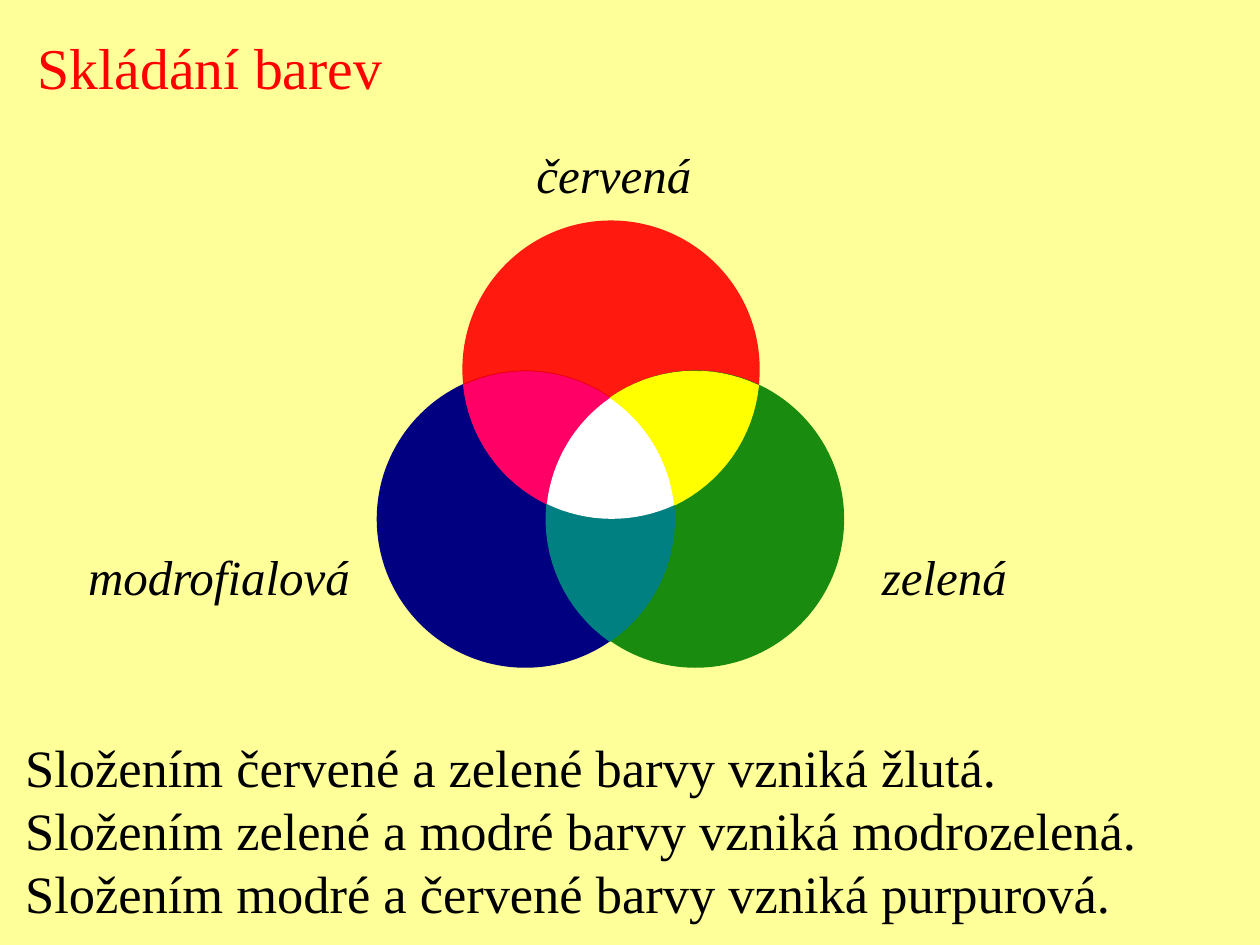
import math
from dataclasses import dataclass
from lxml import etree
from pptx import Presentation
from pptx import util as u
from pptx.dml.color import RGBColor
from pptx.enum import shapes, text
from pptx.oxml import ns

PX = 9144  # EMU in one px, 100 px to the inch
FONT = "Times New Roman"
HUES = {
    "page": "FFFF99", "title": "FF0000", "ink": "000000",
    "blue": "000080", "red": "FF0000", "green": "008000",
    "yellow": "FFFF00", "pink": "FF0066", "teal": "008080",
    "white": "FFFFFF",
}
SIZE = 236  # diameter of each light


@dataclass
class Light:
    hue: str
    left: int
    top: int
    alpha: int = 100

    @property
    def mid(self) -> tuple[float, float]:
        return self.left + SIZE / 2, self.top + SIZE / 2


@dataclass
class Patch:
    """Corners of an overlap; each side is an arc of the named light."""
    hue: str
    sides: list[tuple[str, str]]
    edge: bool = True


@dataclass
class Label:
    words: str
    left: int
    top: int
    width: int


LIGHTS = [
    Light("blue", 299, 294),
    Light("red", 367, 175, 90),
    Light("green", 434, 294, 90),
]
SPOTS = {
    "top": (484, 316), "left": (434, 400), "right": (535, 401),
    "east": (602, 306), "west": (368, 306), "south": (484, 509),
}
PATCHES = [
    Patch("yellow", [("top", "green"), ("east", "red"), ("right", "blue")]),
    Patch("pink", [("top", "blue"), ("west", "red"), ("left", "green")]),
    Patch("teal", [("right", "blue"), ("south", "green"), ("left", "red")]),
    Patch("white", [("top", "blue"), ("right", "red"), ("left", "green")], False),
]
LABELS = [
    Label("červená", 416, 110, 143),
    Label("modrofialová", 60, 429, 229),
    Label("zelená", 690, 429, 119),
]
RULES = [
    "Složením červené a zelené barvy vzniká žlutá.",
    "Složením zelené a modré barvy vzniká modrozelená.",
    "Složením modré a červené barvy vzniká purpurová.",
]


def tint(name: str) -> RGBColor:
    return RGBColor.from_string(HUES[name])


def place(shape, left: int, top: int, width: int, height: int) -> None:
    shape.left, shape.top = left * PX, top * PX
    shape.width, shape.height = width * PX, height * PX


def write(shape, lines: list[str], size: int, hue: str = "ink",
          slant: bool = False) -> None:
    frame = shape.text_frame
    frame.text = "\n".join(lines)
    frame.word_wrap = False
    frame.auto_size = text.MSO_AUTO_SIZE.NONE
    frame.vertical_anchor = text.MSO_ANCHOR.TOP
    frame.margin_left = frame.margin_right = 10 * PX
    frame.margin_top = frame.margin_bottom = 5 * PX
    for para in frame.paragraphs:
        para.alignment = text.PP_ALIGN.LEFT
        para.space_before = u.Pt(0)
        props = para._p.get_or_add_pPr()
        props.set("marL", "0")
        props.set("indent", "0")
        etree.SubElement(props, ns.qn("a:buNone"))
        font = para.font
        font.name, font.size, font.italic = FONT, u.Pt(size), slant
        font.color.rgb = tint(hue)


def paint(shape, hue: str, alpha: int = 100, edge: bool = False) -> None:
    shape.shadow.inherit = False
    shape.fill.solid()
    shape.fill.fore_color.rgb = tint(hue)
    if alpha < 100:
        tone = shape.fill._xPr.find(".//" + ns.qn("a:srgbClr"))
        etree.SubElement(tone, ns.qn("a:alpha"), val=str(alpha * 1000))
    if edge:
        shape.line.color.rgb = tint(hue)
        shape.line.width = u.Pt(0.5)
    else:
        shape.line.fill.background()


def arc(start: tuple, end: tuple, mid: tuple, steps: int = 16) -> list[tuple]:
    """Points in EMU after start, along the short arc to end."""
    turn = [math.atan2(y - mid[1], x - mid[0]) for x, y in (start, end)]
    reach = [math.dist(spot, mid) for spot in (start, end)]
    sweep = math.remainder(turn[1] - turn[0], math.tau)
    points = []
    for step in range(1, steps + 1):
        part = step / steps
        angle = turn[0] + sweep * part
        far = reach[0] + (reach[1] - reach[0]) * part
        points.append(((mid[0] + far * math.cos(angle)) * PX,
                       (mid[1] + far * math.sin(angle)) * PX))
    return points


def draw_light(slide, light: Light) -> None:
    disc = slide.shapes.add_shape(
        shapes.MSO_SHAPE.OVAL, light.left * PX, light.top * PX,
        SIZE * PX, SIZE * PX)
    paint(disc, light.hue, light.alpha)


def draw_patch(slide, patch: Patch) -> None:
    mids = {light.hue: light.mid for light in LIGHTS}
    ends = patch.sides[1:] + patch.sides[:1]
    points = []
    for (spot, hue), (end, _) in zip(patch.sides, ends):
        points += arc(SPOTS[spot], SPOTS[end], mids[hue])
    pen = slide.shapes.build_freeform(*points[-1], scale=1.0)
    pen.add_line_segments(points[:-1], close=True)
    paint(pen.convert_to_shape(), patch.hue, edge=patch.edge)


def draw_label(slide, label: Label) -> None:
    box = slide.shapes.add_textbox(0, 0, 0, 0)
    place(box, label.left, label.top, label.width, 57)
    write(box, [label.words], 28, slant=True)


def main() -> None:
    deck = Presentation()
    deck.slide_width, deck.slide_height = 1000 * PX, 750 * PX
    slide = deck.slides.add_slide(deck.slide_layouts[1])
    slide.background.fill.solid()
    slide.background.fill.fore_color.rgb = tint("page")

    # Title and rules
    title, body = slide.placeholders
    place(title, 20, 20, 300, 65)
    write(title, ["Skládání barev"], 33, "title")
    place(body, 10, 578, 910, 160)
    write(body, RULES, 30)

    # Lights, their names and overlaps
    for light in LIGHTS:
        draw_light(slide, light)
    for label in LABELS:
        draw_label(slide, label)
    for patch in PATCHES:
        draw_patch(slide, patch)

    deck.save("out.pptx")


if __name__ == "__main__":
    main()
